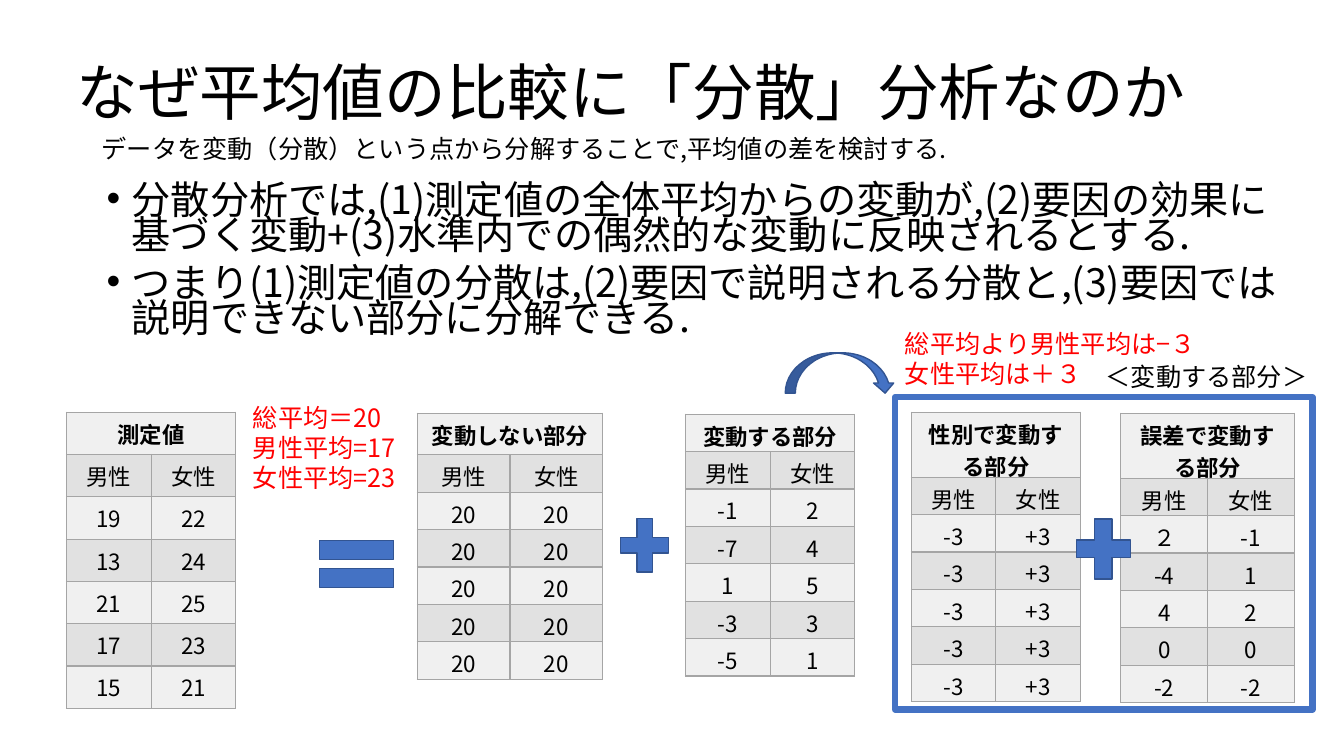
from dataclasses import dataclass

from lxml import etree
from pptx import Presentation
from pptx import util as u
from pptx.dml.color import RGBColor
from pptx.enum import shapes, text
from pptx.oxml.ns import qn

WIDE, HIGH = u.Inches(13.333), u.Inches(7.5)


@dataclass(frozen=True)
class Theme:
    font: str = "Noto Sans CJK JP"
    ink: str = "000000"
    red: str = "FF0000"
    blue: str = "4472C4"
    edge: str = "325491"
    grid: str = "A5A5A5"
    bands: tuple = ("F0F0F0", "E1E1E1")
    title: int = 44
    body: int = 28
    note: int = 18
    cell: int = 16


THEME = Theme()
KIND = shapes.MSO_SHAPE
HEAD = ("男性", "女性")

# heading, left, top, width, heading height, row height, men, women
TABLES = [
    ("測定値", 4.95, 54.53, 12.6, 5.6, 5.6,
     "19 13 21 17 15", "22 24 25 23 21"),
    ("変動しない部分", 31.05, 54.67, 13.8, 5.5, 4.95,
     "20 20 20 20 20", "20 20 20 20 20"),
    ("変動する部分", 51, 54.8, 12.6, 4.95, 4.95,
     "-1 -7 1 -3 -5", "2 4 5 3 1"),
    ("性別で変動する部分", 67.8, 54.53, 12.6, 8.6, 4.95,
     "-3 -3 -3 -3 -3", "+3 +3 +3 +3 +3"),
    ("誤差で変動する部分", 83.4, 54.67, 12.9, 8.6, 4.95,
     "２ -4 4 0 -2", "-1 1 2 0 -2"),
]

SIGNS = [
    (KIND.MATH_EQUAL, (22.8, 69.33, 7.5, 10.53)),
    (KIND.MATH_PLUS, (45.53, 67.33, 4.88, 9.6)),
    (KIND.MATH_PLUS, (79.35, 67.2, 5.48, 10.8)),
    (KIND.CURVED_DOWN_ARROW, (58.43, 46.67, 8.18, 5.33)),
]

POINTS = [
    "分散分析では,(1)測定値の全体平均からの変動が,(2)要因の効果に基づく変動+(3)水準内での偶然的な変動に反映されるとする.",
    "つまり(1)測定値の分散は,(2)要因で説明される分散と,(3)要因では説明できない部分に分解できる.",
]


def rgb(code):
    return RGBColor.from_string(code)


def area(left, top, width, height):
    """Turn percentages of the slide into lengths."""
    return (int(WIDE * left / 100), int(HIGH * top / 100),
            int(WIDE * width / 100), int(HIGH * height / 100))


def style(para, size, color=THEME.ink, bold=False):
    font = para.font
    font.name, font.size, font.bold = THEME.font, u.Pt(size), bold
    font.color.rgb = rgb(color)
    latin = para._p.pPr.find(qn("a:defRPr")).find(qn("a:latin"))
    east = etree.Element(qn("a:ea"), typeface=THEME.font)
    latin.addnext(east)


def bullet(para):
    props = para._p.get_or_add_pPr()
    props.set("marL", str(u.Inches(0.25)))
    props.set("indent", str(-u.Inches(0.25)))
    etree.SubElement(props, qn("a:buFont"), typeface="Arial")
    etree.SubElement(props, qn("a:buChar"), char="•")


def add_title(slide, words):
    title = slide.shapes.title
    title.left, title.top, title.width, title.height = area(
        4.95, 2.93, 86.25, 19.33)
    frame = title.text_frame
    frame.text = words
    frame.vertical_anchor = text.MSO_ANCHOR.MIDDLE
    para = frame.paragraphs[0]
    para.alignment = text.PP_ALIGN.LEFT
    para.line_spacing = 0.9
    style(para, THEME.title)


def add_text(slide, place, lines, color=THEME.ink, wrap=False):
    frame = slide.shapes.add_textbox(*area(*place)).text_frame
    frame.word_wrap = wrap
    frame.text = "\n".join(lines)
    for para in frame.paragraphs:
        style(para, THEME.note, color)


def add_points(slide, place, lines):
    frame = slide.shapes.add_textbox(*area(*place)).text_frame
    frame.word_wrap = True
    frame.text = "\n".join(lines)
    for i, para in enumerate(frame.paragraphs):
        bullet(para)
        para.line_spacing = 0.74
        para.space_before = u.Pt(10 if i else 0)
        style(para, THEME.body)


def border(cell):
    props = cell._tc.get_or_add_tcPr()
    for i, side in enumerate(("lnL", "lnR", "lnT", "lnB")):
        line = etree.Element(qn("a:" + side), w=str(u.Pt(1)))
        fill = etree.SubElement(line, qn("a:solidFill"))
        etree.SubElement(fill, qn("a:srgbClr"), val=THEME.grid)
        props.insert(i, line)


def add_data(slide, name, left, top, width, first, step, men, women):
    """Add one table of men and women under a merged heading."""
    rows = [(name, ""), HEAD, *zip(men.split(), women.split())]
    high = first + step * (len(rows) - 1)
    table = slide.shapes.add_table(
        len(rows), 2, *area(left, top, width, high)).table
    table.first_row = table.horz_banding = False
    table.cell(0, 0).merge(table.cell(0, 1))
    for r, row in enumerate(rows):
        table.rows[r].height = int(HIGH * (step if r else first) / 100)
        for c, words in enumerate(row):
            cell = table.cell(r, c)
            cell.margin_bottom = 0
            cell.fill.solid()
            cell.fill.fore_color.rgb = rgb(THEME.bands[r % 2])
            border(cell)
            cell.text = words
            para = cell.text_frame.paragraphs[0]
            para.alignment = text.PP_ALIGN.CENTER
            style(para, THEME.cell, bold=r == 0)


def add_sign(slide, kind, place):
    sign = slide.shapes.add_shape(kind, *area(*place))
    sign.shadow.inherit = False
    sign.fill.solid()
    sign.fill.fore_color.rgb = rgb(THEME.blue)
    sign.line.color.rgb = rgb(THEME.edge)
    sign.line.width = u.Pt(1)


def add_frame(slide, place):
    box = slide.shapes.add_shape(KIND.RECTANGLE, *area(*place))
    box.shadow.inherit = False
    box.fill.background()
    box.line.color.rgb = rgb(THEME.blue)
    box.line.width = u.Pt(4.5)


def main():
    deck = Presentation()
    deck.slide_width, deck.slide_height = WIDE, HIGH
    slide = deck.slides.add_slide(deck.slide_layouts[5])
    add_title(slide, "なぜ平均値の比較に「分散」分析なのか")
    add_points(slide, (7.2, 24, 89.1, 25.87), POINTS)
    for row in TABLES:
        add_data(slide, *row)
    add_text(slide, (18.08, 52.53, 12.9, 13.47),
             ["総平均＝20", "男性平均=17", "女性平均=23"], THEME.red)
    add_text(slide, (66.6, 42.8, 24.23, 9.47),
             ["総平均より男性平均は−３", "女性平均は＋３"], THEME.red)
    add_frame(slide, (66.6, 52.53, 31.05, 41.33))
    for kind, place in SIGNS:
        add_sign(slide, kind, place)
    add_text(slide, (81.53, 47.07, 16.65, 5.33), ["＜変動する部分＞"])
    add_text(slide, (6.83, 16.93, 89.4, 5.33),
             ["データを変動（分散）という点から分解することで,平均値の差を検討する."],
             wrap=True)
    deck.save("out.pptx")


if __name__ == "__main__":
    main()
